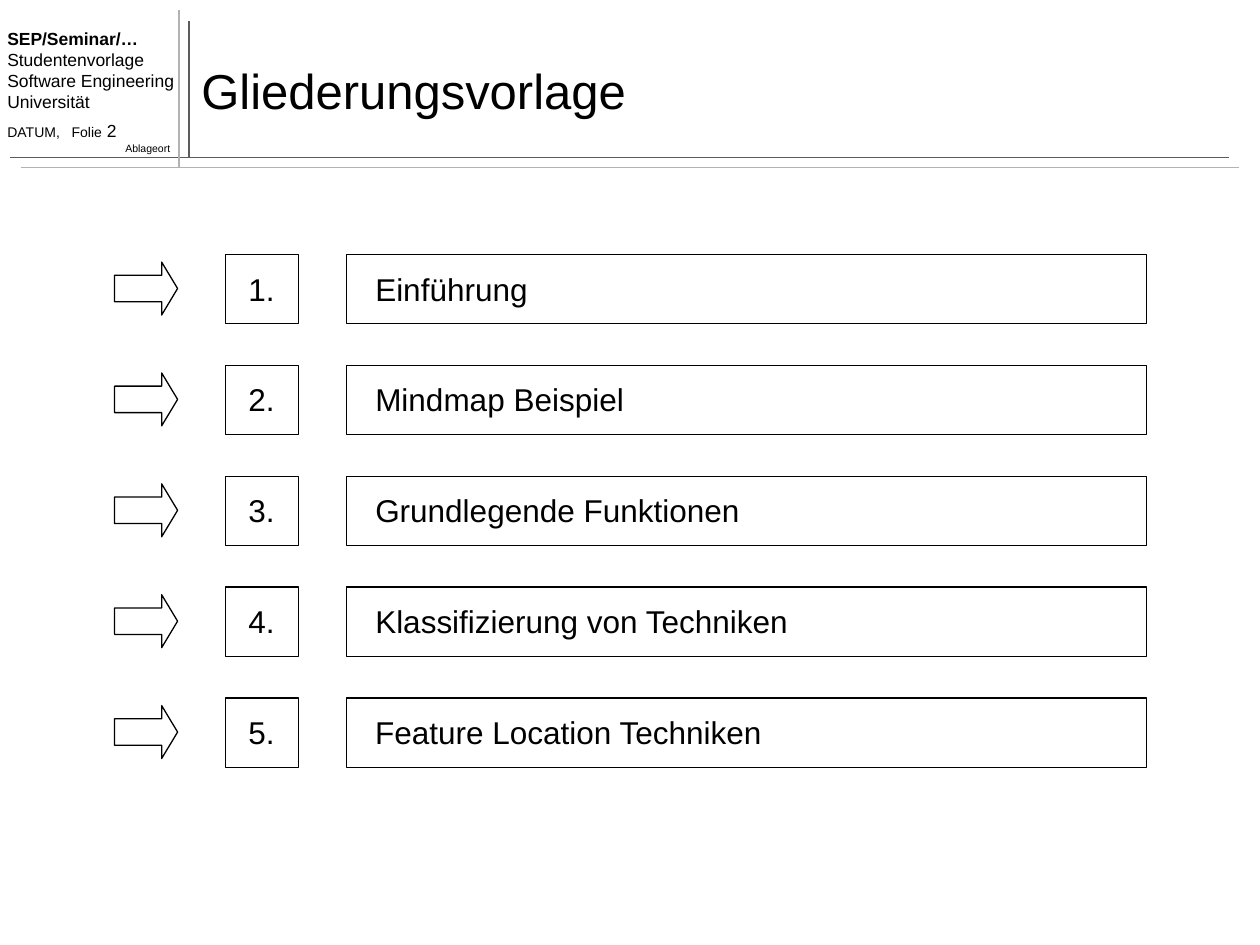
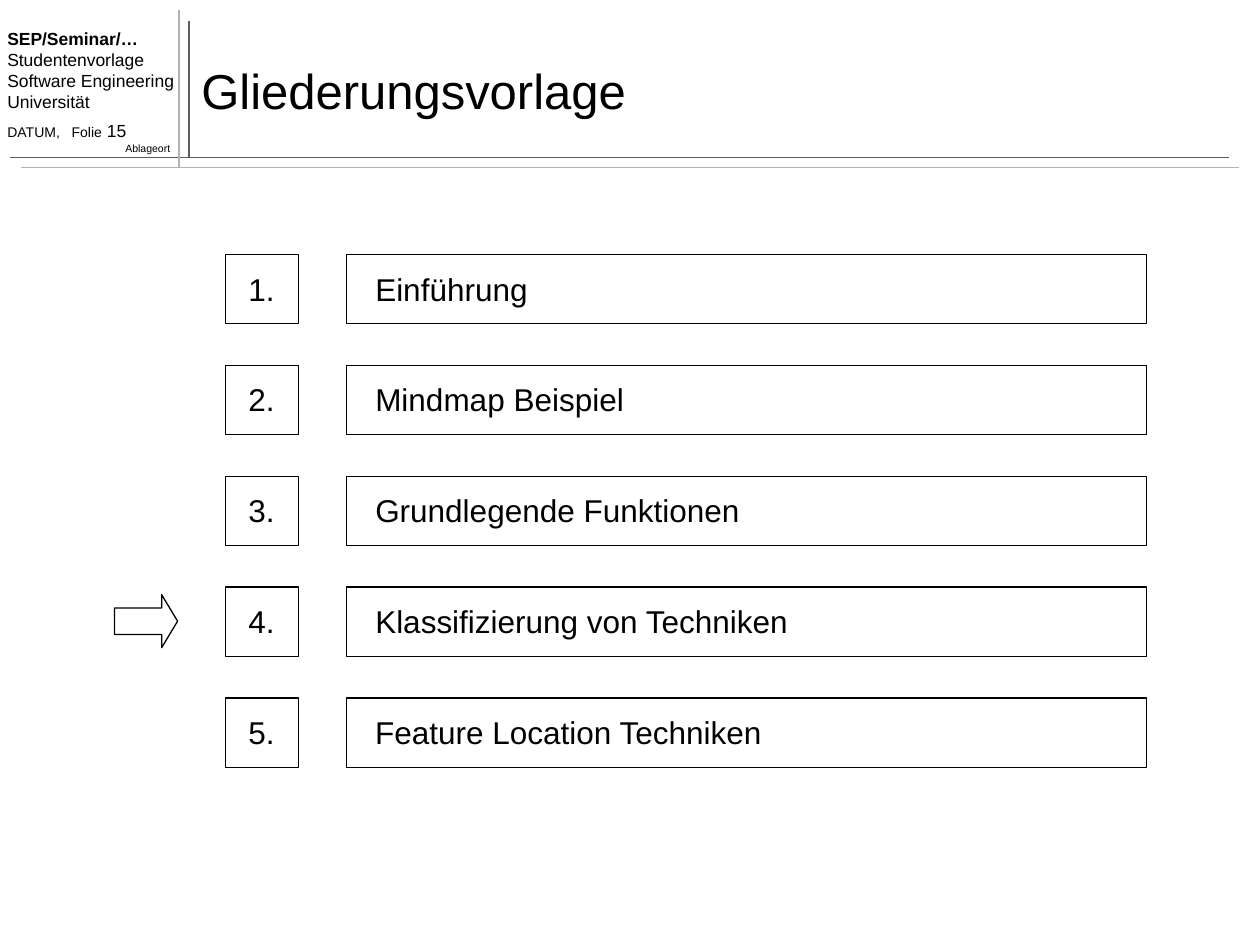
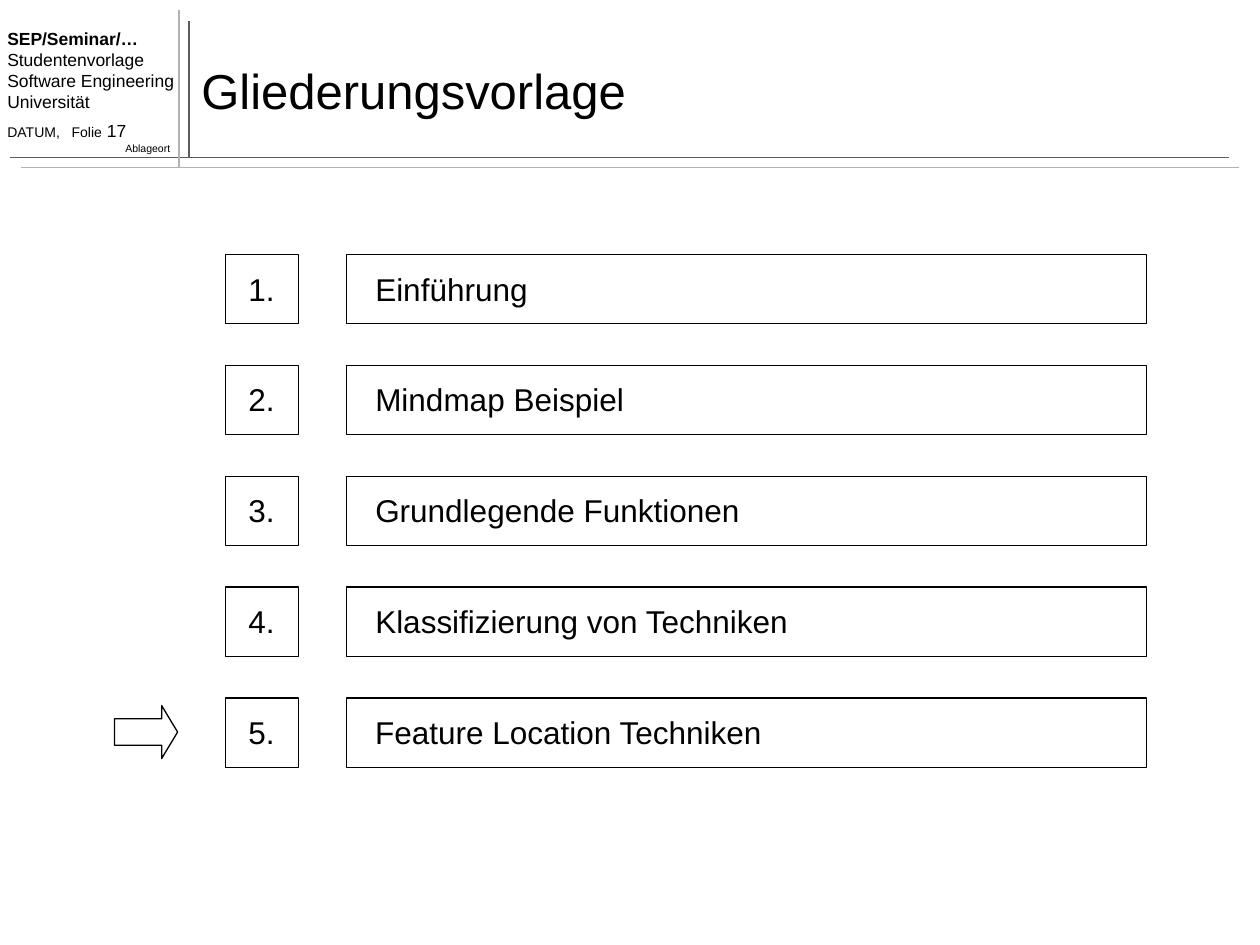
from pptx import Presentation
from pptx.dml.color import RGBColor
from pptx.enum.shapes import MSO_CONNECTOR, MSO_SHAPE
from pptx.enum.text import MSO_ANCHOR, MSO_AUTO_SIZE, PP_ALIGN
from pptx.oxml.ns import qn
from pptx.util import Inches, Pt
from lxml.etree import SubElement

# Shared look
BLACK = RGBColor(0x00, 0x00, 0x00)
DARK = RGBColor(0x5C, 0x5C, 0x5C)
LIGHT = RGBColor(0xB2, 0xB2, 0xB2)
FONT = "Arial"
WIDE, HIGH = 10, 7.5

# Header rules: start x, start y, end x, end y, colour
RULES = [
    (1.5, 1.25, 1.5, 0.17, DARK),
    (0.08, 1.25, 9.75, 1.25, DARK),
    (0.17, 1.33, 9.83, 1.33, LIGHT),
    (1.42, 1.33, 1.42, 0.08, LIGHT),
]

# Outline grid: first row, row step, box height, columns as (left, width)
TOP, STEP, BOX = 2.02, 0.88, 0.55
ARROW, NUMBER, TOPIC = (0.91, 0.5), (1.79, 0.58), (2.75, 6.35)
PAD = 0.07

# Topics with the width of their labels
TOPICS = [
    ("Einführung", 1.42),
    ("Mindmap Beispiel", 2.22),
    ("Grundlegende Funktionen", 3.12),
    ("Klassifizierung von Techniken", 3.51),
    ("Feature Location Techniken", 3.3),
]

# Slide number and the topics that an arrow marks
SLIDES = [(2, {1, 2, 3, 4, 5}), (15, {4}), (17, {5})]


def add_run(para, text, size, bold=False):
    run = para.add_run()
    run.text = text
    run.font.name = FONT
    run.font.size = Pt(size)
    run.font.bold = bold
    run.font.color.rgb = BLACK


def add_text(shapes, place, lines, align=PP_ALIGN.LEFT,
             anchor=MSO_ANCHOR.TOP, wrap=False, grow=True):
    """Add a text box; each line is a list of (text, size, bold) runs."""
    frame = shapes.add_textbox(*map(Inches, place)).text_frame
    frame.word_wrap = wrap
    frame.vertical_anchor = anchor
    if grow:
        frame.auto_size = MSO_AUTO_SIZE.SHAPE_TO_FIT_TEXT
    for i, runs in enumerate(lines):
        para = frame.add_paragraph() if i else frame.paragraphs[0]
        para.alignment = align
        for run in runs:
            add_run(para, *run)
    return frame


def add_rule(shapes, x1, y1, x2, y2, color):
    ends = map(Inches, (x1, y1, x2, y2))
    rule = shapes.add_connector(MSO_CONNECTOR.STRAIGHT, *ends)
    rule.line.color.rgb = color
    rule.line.width = Pt(1)
    SubElement(rule._element.spPr, qn("a:effectLst"))


def add_frame(shapes, kind, left, top, width, height):
    shape = shapes.add_shape(kind, *map(Inches, (left, top, width, height)))
    shape.shadow.inherit = False
    shape.fill.background()
    shape.line.color.rgb = BLACK
    shape.line.width = Pt(0.75)
    return shape


def add_header(shapes, number):
    for rule in RULES:
        add_rule(shapes, *rule)
    frame = add_text(shapes, (-0.04, 0.17, 1.54, 1.03), [
        [("SEP/Seminar/…", 10, True)],
        [("Studentenvorlage", 10)],
        [("Software Engineering", 10)],
        [("Universität", 10)],
        [("DATUM,\tFolie", 8), (f" {number}", 10)],
    ], wrap=True)
    # The last line sits lower, with a tab stop before the folio
    last = frame.paragraphs[-1]
    last.space_before = Pt(5)
    stops = SubElement(last._p.get_or_add_pPr(), qn("a:tabLst"))
    SubElement(stops, qn("a:tab"), pos=str(Inches(0.51)), algn="l")
    add_text(shapes, (0.89, 1.08, 0.56, 0.2), [[("Ablageort", 6)]],
             PP_ALIGN.RIGHT)
    add_text(shapes, (1.5, 0.25, 8.33, 0.92), [[("Gliederungsvorlage", 28)]],
             anchor=MSO_ANCHOR.MIDDLE, wrap=True, grow=False)


def add_topic(slide, index, text, width, marked):
    shapes = slide.shapes.add_group_shape().shapes
    top = TOP + (index - 1) * STEP
    for left, span in (TOPIC, NUMBER):
        add_frame(shapes, MSO_SHAPE.RECTANGLE, left, top, span, BOX)
    add_text(shapes, (TOPIC[0] + 0.13, top + PAD, width, 0.4),
             [[(text, 18)]], anchor=MSO_ANCHOR.MIDDLE)
    add_text(shapes, (NUMBER[0] + 0.08, top + PAD, 0.41, 0.4),
             [[(f"{index}.", 18)]], PP_ALIGN.CENTER, MSO_ANCHOR.MIDDLE)
    if marked:
        left, span = ARROW
        arrow = add_frame(shapes, MSO_SHAPE.RIGHT_ARROW,
                          left, top + 0.06, span, 0.42)
        arrow.adjustments[0] = 0.5
        arrow.adjustments[1] = 0.3


def main():
    deck = Presentation()
    deck.slide_width, deck.slide_height = Inches(WIDE), Inches(HIGH)
    for number, marks in SLIDES:
        slide = deck.slides.add_slide(deck.slide_layouts[6])
        add_header(slide.shapes, number)
        for index, (text, width) in enumerate(TOPICS, 1):
            add_topic(slide, index, text, width, index in marks)
    deck.save("out.pptx")


main()
